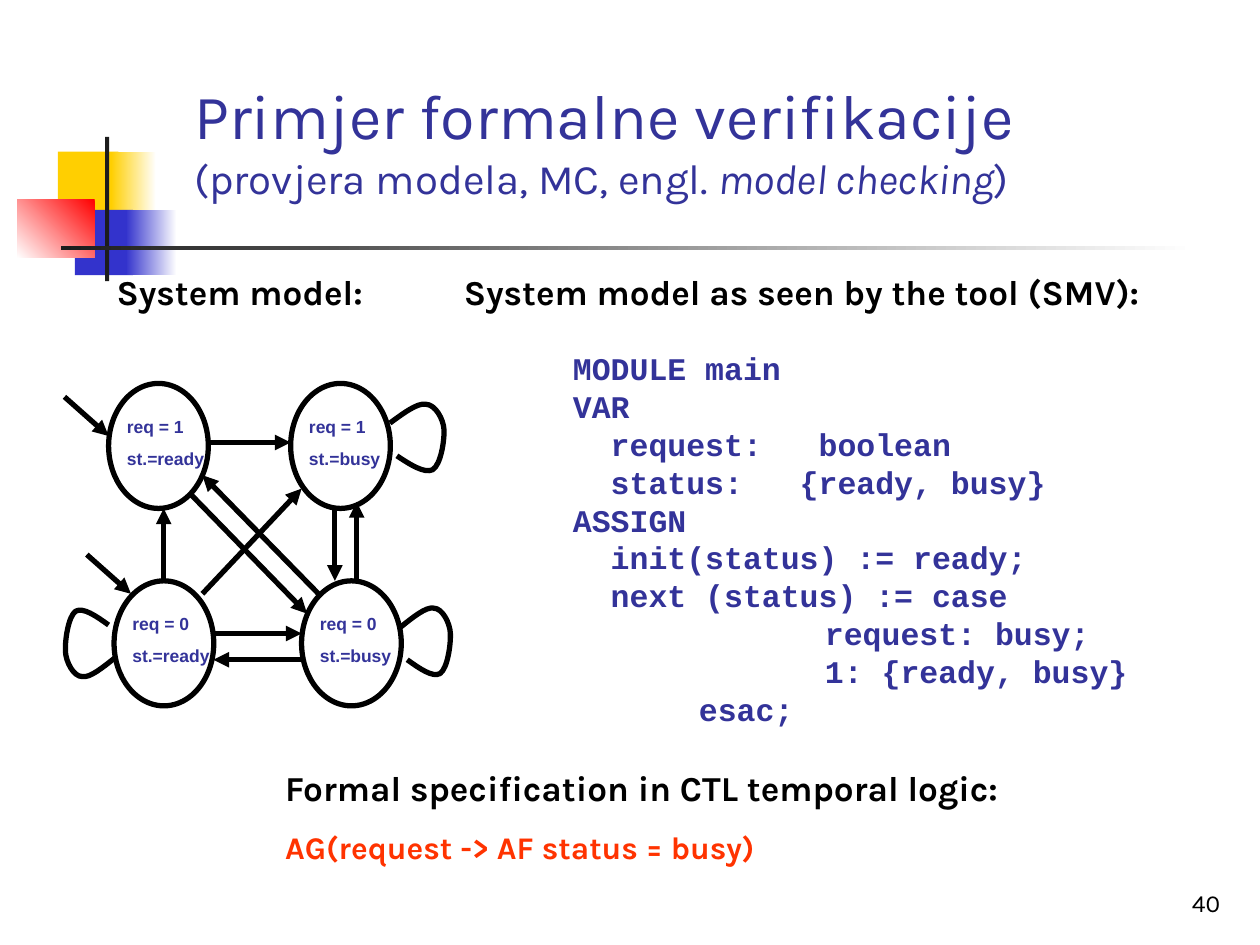
import lxml.etree
import pptx
import pptx.dml.color
import pptx.enum.shapes
import pptx.enum.text
import pptx.oxml.ns
import pptx.util

Cm = pptx.util.Cm
Pt = pptx.util.Pt
SHAPE = pptx.enum.shapes.MSO_SHAPE
ANCHOR = pptx.enum.text.MSO_ANCHOR
ALIGN = pptx.enum.text.PP_ALIGN
qn = pptx.oxml.ns.qn

NAVY = "333399"
BLACK = "000000"
WHITE = "FFFFFF"
DARK = "1C1C1C"
YELLOW = "FFCF01"
BLUE = "3333CC"
NODE_W, NODE_H = 2.01, 2.52

DECORATION = [
    ((1.17, 3.06, 1.22, 1.32), [YELLOW], 0),
    ((2.24, 3.06, 0.91, 1.32), [WHITE, YELLOW], 180),
    ((1.51, 4.23, 1.17, 1.32), [BLUE], 0),
    ((2.54, 4.23, 1.02, 1.32), [WHITE, BLUE], 180),
    ((0.35, 4.02, 1.56, 1.18), ["FF0000", WHITE], 225),
    ((2.12, 2.76, 0.08, 2.91), [DARK], 0),
    ((1.23, 4.95, 22.86, 0.09), [WHITE, DARK], 180),
]

STATES = [
    (2.3, 11.71, "req = 0", "st.=ready"),
    (2.19, 7.73, "req = 1", "st.=ready"),
    (5.86, 7.73, "req = 1", "st.=busy"),
    (6.08, 11.71, "req = 0", "st.=busy"),
]

TRANSITIONS = [
    (4.2, 8.92, 5.86, 8.92),
    (6.75, 10.25, 6.75, 11.71),
    (7.19, 11.71, 7.19, 10.12),
    (4.3, 12.77, 6.08, 12.77),
    (6.08, 13.3, 4.3, 13.3),
    (4.08, 11.97, 6.08, 9.85),
    (6.42, 11.97, 4.08, 9.58),
    (3.86, 9.98, 6.19, 12.37),
    (3.3, 11.71, 3.3, 10.25),
    (1.75, 11.18, 2.64, 11.97),
    (1.3, 8, 2.19, 8.79),
]

LOOP_CURVE = [
    (0, 0), (0.25, -0.2), (0.51, -0.41), (0.66, -0.38), (0.84, -0.38),
    (0.99, -0.08), (1, 0.13), (1.01, 0.36), (0.94, 0.84), (0.79, 0.94),
    (0.64, 1.02), (0.38, 0.84), (0.13, 0.66),
]

SELF_LOOPS = [(8.08, 12.64, 1, 1), (2.32, 13.26, -1, -1), (7.86, 8.53, 1.09, 1)]

CODE = [
    "MODULE main",
    "VAR",
    "  request:   boolean",
    "  status:   {ready, busy}",
    "ASSIGN",
    "  init(status) := ready;",
    "  next (status) := case",
    "\t\trequest: busy;",
    "\t\t1: {ready, busy}",
    "\tesac;",
]


def rgb(value):
    return pptx.dml.color.RGBColor.from_string(value)


def add_run(p, text, size=20, font="Karla", color=BLACK, bold=False, italic=False):
    r = p.add_run()
    r.text = text
    r.font.size = Pt(size)
    r.font.name = font
    r.font.color.rgb = rgb(color)
    r.font.bold = bold
    r.font.italic = italic


def add_frame(s, box, anchor=ANCHOR.TOP):
    tf = s.shapes.add_textbox(*map(Cm, box)).text_frame
    tf.word_wrap = True
    tf.vertical_anchor = anchor
    return tf


def add_lines(s, box, lines, before=0, **fmt):
    tf = add_frame(s, box)
    for i, line in enumerate(lines):
        p = tf.add_paragraph() if i else tf.paragraphs[0]
        if i and before:
            p.space_before = Pt(before)
        if "\t" in line:
            add_tabs(p, line.count("\t"))
        add_run(p, line, **fmt)
    return tf


def add_tabs(p, count):
    tabs = lxml.etree.SubElement(p._p.get_or_add_pPr(), qn("a:tabLst"))
    for i in range(1, count + 1):
        lxml.etree.SubElement(tabs, qn("a:tab"), pos=str(Cm(2.54 * i)), algn="l")


def outline(sp):
    sp.line.color.rgb = rgb(BLACK)
    sp.line.width = Pt(3)


def add_block(s, box, colors, angle):
    sp = s.shapes.add_shape(SHAPE.RECTANGLE, *map(Cm, box))
    sp.shadow.inherit = False
    sp.line.fill.background()
    if len(colors) == 1:
        sp.fill.solid()
        sp.fill.fore_color.rgb = rgb(colors[0])
    else:
        sp.fill.gradient()
        sp.fill.gradient_angle = angle
        for stop, color in zip(sp.fill.gradient_stops, colors):
            stop.color.rgb = rgb(color)


def add_state(s, x, y, *lines):
    sp = s.shapes.add_shape(SHAPE.OVAL, Cm(x), Cm(y), Cm(NODE_W), Cm(NODE_H))
    sp.shadow.inherit = False
    sp.fill.background()
    outline(sp)
    add_lines(s, (x + 0.12, y + 0.53, 2.11, 1.32), lines, before=6.2,
              size=10, font="Arial", color=NAVY, bold=True)


def add_arrow(s, *ends):
    kind = pptx.enum.shapes.MSO_CONNECTOR.STRAIGHT
    sp = s.shapes.add_connector(kind, *map(Cm, ends))
    outline(sp)
    lxml.etree.SubElement(sp.line._get_or_add_ln(), qn("a:tailEnd"), type="triangle")
    lxml.etree.SubElement(sp._element.spPr, qn("a:effectLst"))


def curve_segments(sp):
    segments = list(sp._element.iter(qn("a:lnTo")))
    outline_path = segments[0].getparent()
    for i in range(0, len(segments), 3):
        curve = lxml.etree.SubElement(outline_path, qn("a:cubicBezTo"))
        for segment in segments[i:i + 3]:
            curve.append(segment[0])
            outline_path.remove(segment)


def add_self_loop(s, x, y, scale_x, scale_y):
    points = [(Cm(x + dx * scale_x), Cm(y + dy * scale_y)) for dx, dy in LOOP_CURVE]
    builder = s.shapes.build_freeform(*points[0])
    builder.add_line_segments(points[1:], close=False)
    sp = builder.convert_to_shape()
    curve_segments(sp)
    sp.shadow.inherit = False
    sp.fill.background()
    outline(sp)


def add_title(s):
    p = add_frame(s, (3.67, 2.51, 18.64, 1.7), ANCHOR.BOTTOM).paragraphs[0]
    add_run(p, "Primjer formalne verifikacije ", size=36, color=NAVY)
    p.add_line_break()
    add_run(p, "(provjera modela, MC, engl. ", size=24, color=NAVY)
    add_run(p, "model checking", size=24, color=NAVY, italic=True)
    add_run(p, ")", size=24, color=NAVY)


def main():
    prs = pptx.Presentation()
    prs.slide_width, prs.slide_height = Cm(25.4), Cm(19.05)
    s = prs.slides.add_slide(prs.slide_layouts[6])

    for block in DECORATION:
        add_block(s, *block)
    add_title(s)
    for state in STATES:
        add_state(s, *state)
    for ends in TRANSITIONS:
        add_arrow(s, *ends)
    for loop in SELF_LOOPS:
        add_self_loop(s, *loop)

    add_lines(s, (2.1, 5.33, 5.99, 1.12), ["System model:"], bold=True)
    add_lines(s, (9.1, 5.33, 15.8, 1.12),
              ["System model as seen by the tool (SMV):"], bold=True)
    add_lines(s, (11.3, 6.92, 13.41, 7.87), CODE,
              size=18, font="Courier New", color=NAVY, bold=True)

    tf = add_lines(s, (5.5, 15.32, 15.8, 2.26),
                   ["Formal specification in CTL temporal logic:"], bold=True)
    p = tf.add_paragraph()
    p.space_before = Pt(11.2)
    add_run(p, "AG(request -> AF status = busy)", size=18, color="FF3300", bold=True)

    p = add_frame(s, (19.57, 17.34, 5.28, 1.27), ANCHOR.BOTTOM).paragraphs[0]
    p.alignment = ALIGN.RIGHT
    add_run(p, "40", size=14)

    prs.save("out.pptx")


if __name__ == "__main__":
    main()
